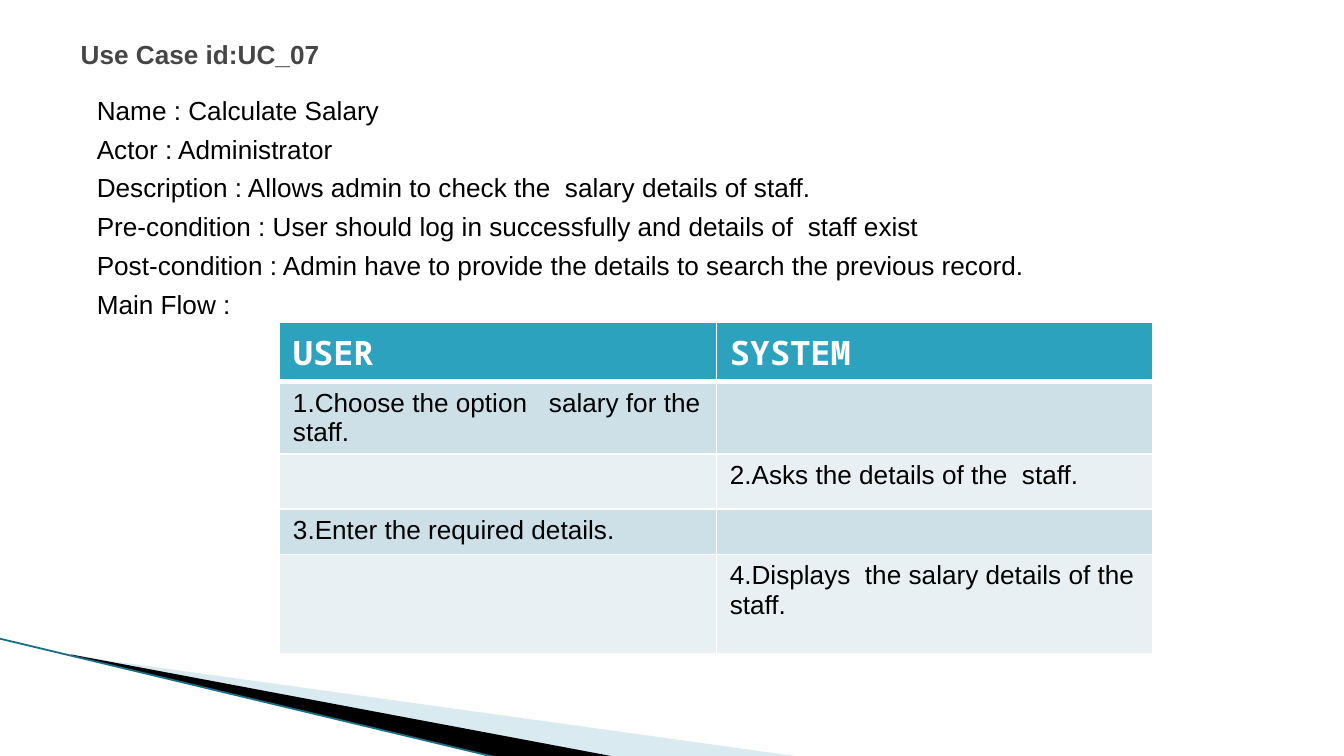
from lxml import etree
from pptx import Presentation
from pptx.dml.color import RGBColor
from pptx.enum import shapes, text
from pptx.oxml import ns
from pptx.util import Inches, Pt

BLACK = RGBColor(0x00, 0x00, 0x00)
WHITE = RGBColor(0xFF, 0xFF, 0xFF)
GREY = RGBColor(0x46, 0x46, 0x46)
TEAL = RGBColor(0x2D, 0xA2, 0xBF)
DARK_TEAL = RGBColor(0x1B, 0x6F, 0x85)
PALE_BLUE = RGBColor(0xA0, 0xCB, 0xDC)
BANDS = [RGBColor(0xCD, 0xE0, 0xE8), RGBColor(0xE8, 0xF0, 0xF4)]

HEADING = "Use Case id:UC_07"
DETAILS = [
    "Name : Calculate Salary",
    "Actor : Administrator",
    "Description : Allows admin to check the  salary details of staff.",
    "Pre-condition : User should log in successfully and details of  staff exist",
    "Post-condition : Admin have to provide the details to search the previous record.",
    "Main Flow :",
]
FLOW = [
    ("USER", "SYSTEM"),
    ("1.Choose the option   salary for the staff.", ""),
    ("", "2.Asks the details of the  staff."),
    ("3.Enter the required details.", ""),
    ("", "4.Displays  the salary details of the staff."),
]
ROW_HEIGHTS = [0.36, 0.52, 0.41, 0.3, 0.74]
COLUMN_WIDTH = 3.25

# Swoosh in the lower left corner: points, colour, opacity in percent
WEDGES = [
    ([(0.55, 4.88), (5.95, 5.63), (4.56, 5.63)], PALE_BLUE, 40),
    ([(0.53, 4.87), (4.57, 5.63), (3.72, 5.64), (0.54, 4.88)], BLACK, 100),
]
EDGE = [(-0.01, 4.75), (3.71, 5.64)]


def sub(parent, tag, **attributes):
    return etree.SubElement(parent, ns.qn(tag), **attributes)


def write(paragraph, words, size=14, font="Arial", color=BLACK, bold=False):
    if not words:
        sub(paragraph._p, "a:endParaRPr", sz=str(size * 100))
        return
    run = paragraph.add_run()
    run.text = words
    run.font.size = Pt(size)
    run.font.name = font
    run.font.bold = bold
    run.font.color.rgb = color


def place(part, left, top, width, height):
    part.left, part.top = Inches(left), Inches(top)
    part.width, part.height = Inches(width), Inches(height)


def add_swoosh(slide):
    """Draw the corner decoration behind the title and body."""
    parts = []
    for points, color, opacity in WEDGES:
        start, *rest = [(Inches(x), Inches(y)) for x, y in points]
        builder = slide.shapes.build_freeform(*start)
        builder.add_line_segments(rest, close=True)
        wedge = builder.convert_to_shape()
        wedge.shadow.inherit = False
        wedge.line.fill.background()
        wedge.fill.solid()
        wedge.fill.fore_color.rgb = color
        if opacity < 100:
            clr = wedge.element.spPr.find(".//" + ns.qn("a:srgbClr"))
            sub(clr, "a:alpha", val=str(opacity * 1000))
        parts.append(wedge)
    ends = [Inches(value) for point in EDGE for value in point]
    edge = slide.shapes.add_connector(shapes.MSO_CONNECTOR.STRAIGHT, *ends)
    edge.line.color.rgb = DARK_TEAL
    edge.line.width = Pt(0.95)
    sub(edge.element.spPr, "a:effectLst")
    parts.append(edge)
    for part in parts:
        slide.shapes.title.element.addprevious(part.element)


def set_borders(cell, **widths):
    """Give a cell white borders; widths are points keyed by L, R, T, B."""
    properties = cell._tc.get_or_add_tcPr()
    for index, (side, width) in enumerate(widths.items()):
        border = etree.Element(ns.qn("a:ln" + side), w=str(Pt(width)))
        sub(sub(border, "a:solidFill"), "a:srgbClr", val=str(WHITE))
        properties.insert(index, border)


def add_flow_table(slide):
    table = slide.shapes.add_table(
        len(FLOW), 2, Inches(2.08), Inches(2.4),
        Inches(2 * COLUMN_WIDTH), Inches(sum(ROW_HEIGHTS))).table
    for column in table.columns:
        column.width = Inches(COLUMN_WIDTH)
    for r, (step, height) in enumerate(zip(FLOW, ROW_HEIGHTS)):
        table.rows[r].height = Inches(height)
        for c, words in enumerate(step):
            cell = table.cell(r, c)
            cell.fill.solid()
            cell.fill.fore_color.rgb = BANDS[(r - 1) % 2] if r else TEAL
            set_borders(cell, L=1, R=1, T=3 if r == 1 else 1, B=1 if r else 3)
            header = {} if r else dict(size=18, font="Noto Sans Mono", color=WHITE, bold=True)
            write(cell.text_frame.paragraphs[0], words, **header)


def main():
    deck = Presentation()
    deck.slide_width = Inches(10)
    deck.slide_height = deck.slide_width * 9 // 16
    slide = deck.slides.add_slide(deck.slide_layouts[1])

    title, body = slide.shapes.title, slide.placeholders[1]
    place(title, 0.5, 0.23, 9, 0.34)
    place(body, 0.5, 0.65, 9, 4.28)
    for part in (title, body):
        part.text_frame.auto_size = text.MSO_AUTO_SIZE.NONE
        part.text_frame.word_wrap = True

    title.text_frame.vertical_anchor = text.MSO_ANCHOR.MIDDLE
    heading = title.text_frame.paragraphs[0]
    heading.alignment = text.PP_ALIGN.LEFT
    write(heading, HEADING, color=GREY, bold=True)

    for i, detail in enumerate(DETAILS):
        frame = body.text_frame
        paragraph = frame.add_paragraph() if i else frame.paragraphs[0]
        paragraph.space_before = Pt(4)
        properties = paragraph._p.get_or_add_pPr()
        properties.set("marL", str(Inches(0.12)))
        properties.set("indent", "0")
        sub(properties, "a:buNone")
        write(paragraph, detail)

    add_swoosh(slide)
    add_flow_table(slide)
    deck.save("out.pptx")


if __name__ == "__main__":
    main()
